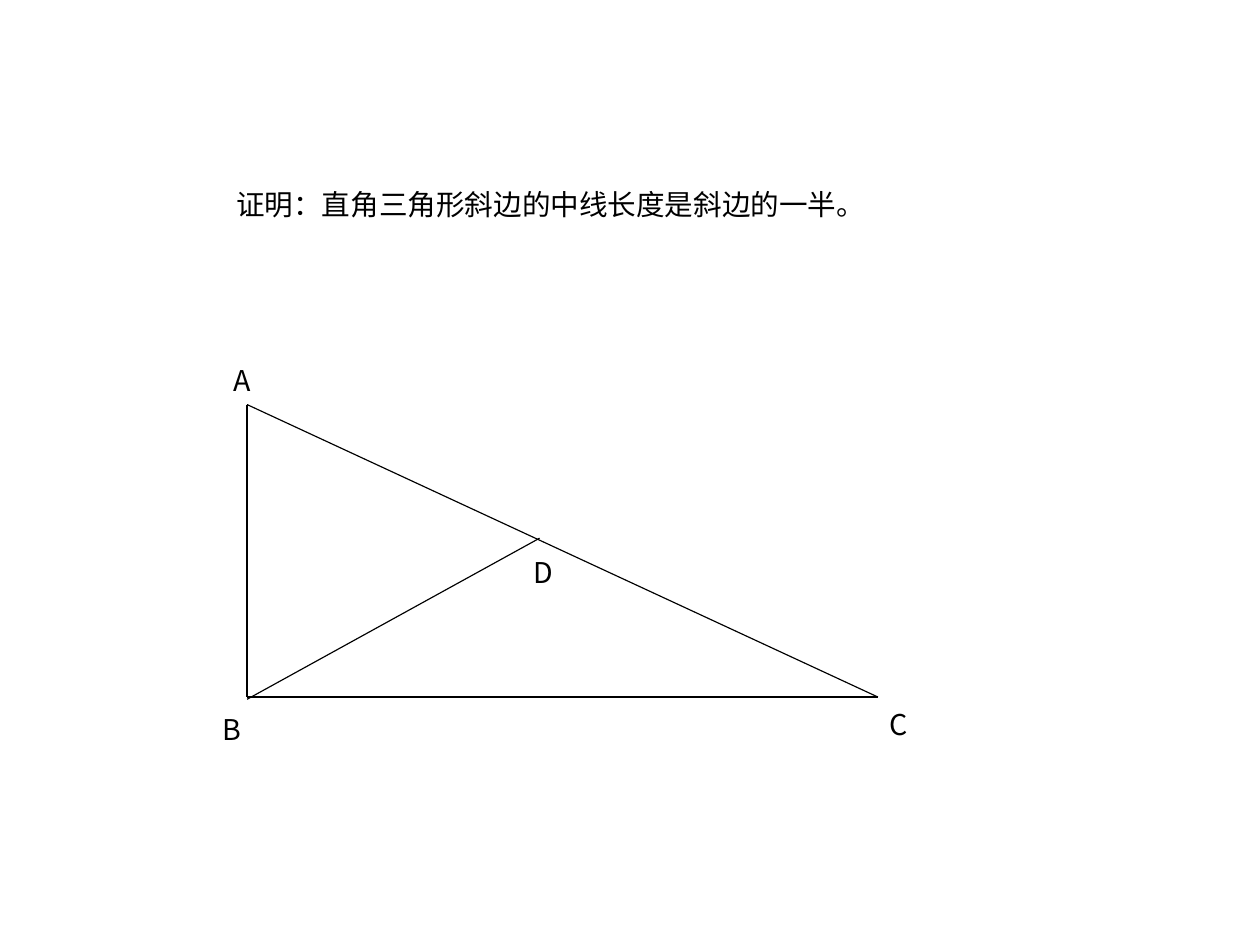
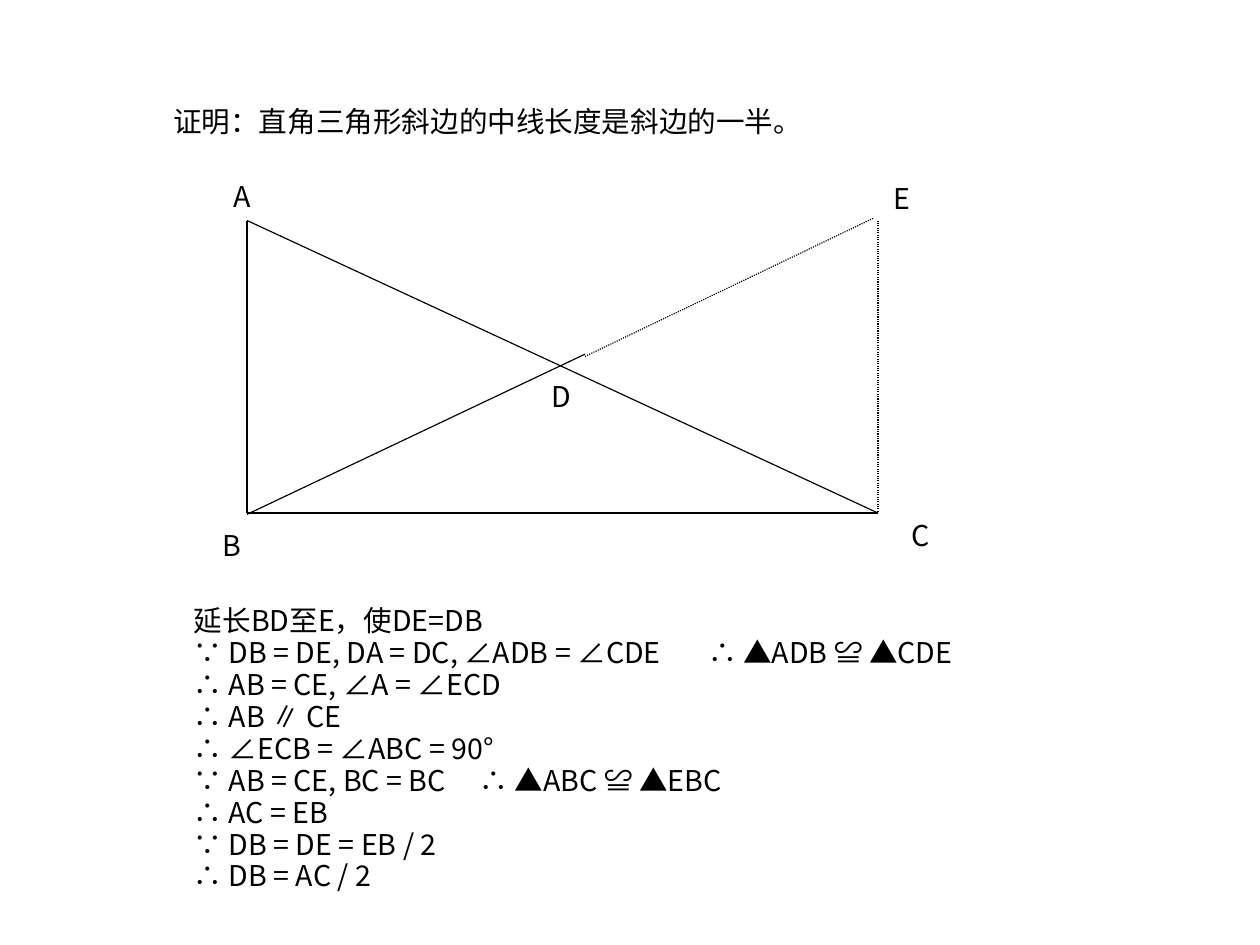
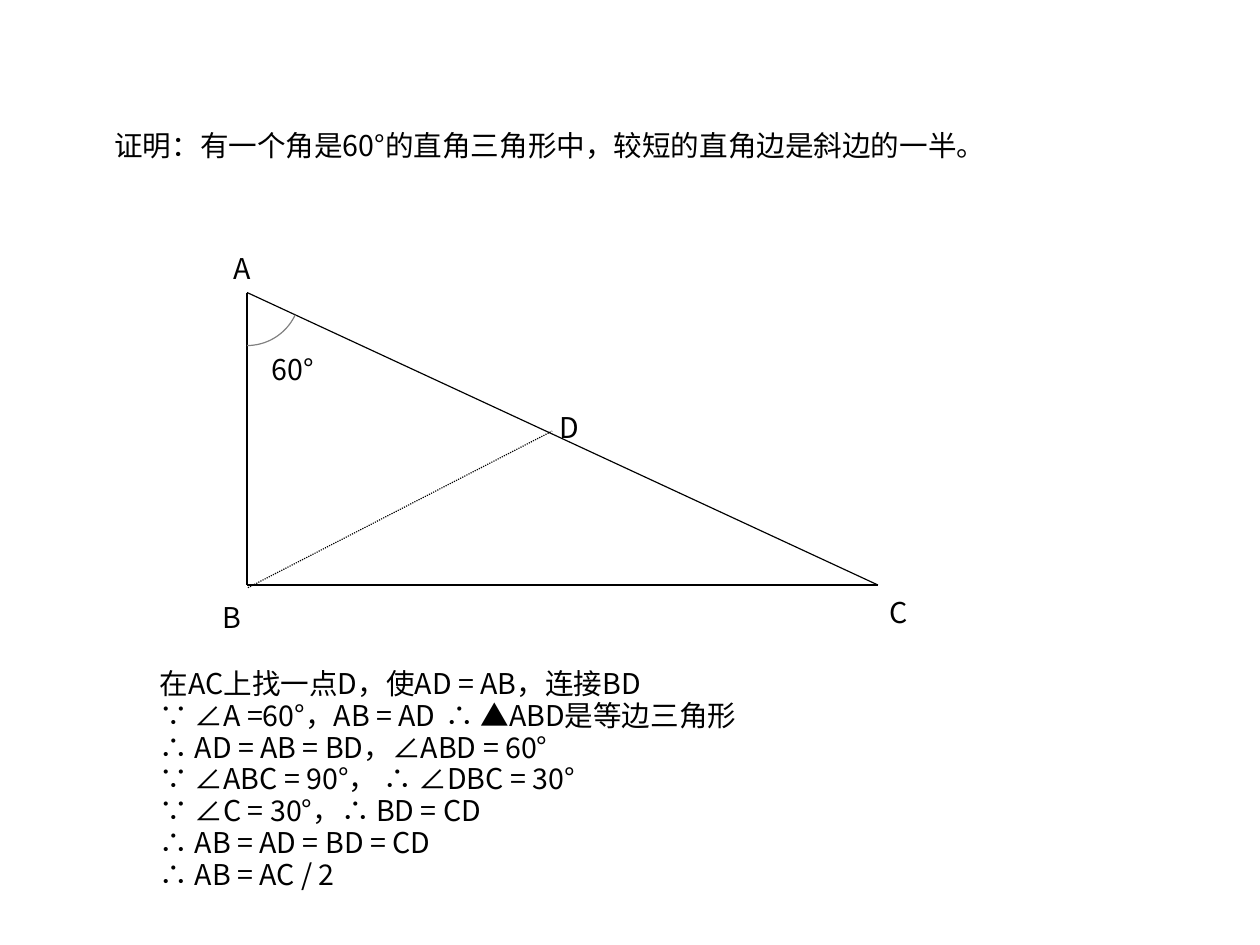
from dataclasses import dataclass
from math import atan2, cos, pi, sin

from lxml.etree import SubElement
from pptx import Presentation
from pptx.dml.color import RGBColor
from pptx.enum.dml import MSO_LINE
from pptx.enum.lang import MSO_LANGUAGE_ID
from pptx.enum.shapes import MSO_CONNECTOR
from pptx.enum.text import MSO_ANCHOR, MSO_AUTO_SIZE, PP_ALIGN
from pptx.oxml.ns import qn
from pptx.slide import Slide
from pptx.text.text import TextFrame
from pptx.util import Cm, Pt

Point = tuple[float, float]


@dataclass(frozen=True)
class Theme:
    """Colours, type and line style shared by every slide."""

    ink: RGBColor = RGBColor(0, 0, 0)
    arc: RGBColor = RGBColor(0x80, 0x80, 0x80)
    font: str = "Noto Sans CJK SC"
    size: float = 18
    line_spacing: float = 0.93
    line_width: float = 0.75


@dataclass(frozen=True)
class Segment:
    """A straight line of a figure."""

    start: Point
    end: Point
    dotted: bool = False


@dataclass(frozen=True)
class Label:
    """A short text naming a point or an angle."""

    text: str
    position: Point
    width: float = 1.0


@dataclass(frozen=True)
class Proof:
    """The content of one slide."""

    title: str
    title_position: Point
    apex_top: float
    segments: tuple[Segment, ...]
    labels: tuple[Label, ...]
    title_language: MSO_LANGUAGE_ID | None = None
    steps: tuple[str, ...] = ()
    steps_box: tuple[float, float, float, float] = (0, 0, 0, 0)
    tab_stops: tuple[float, ...] = ()
    arc_radius: float = 0


THEME = Theme()
LEG_LEFT, LEG_RIGHT, LEG_HEIGHT = 5.49, 19.51, 6.5
MEDIAN_THEOREM = "证明：直角三角形斜边的中线长度是斜边的一半。"

PROOFS = (
    Proof(
        title=MEDIAN_THEOREM,
        title_position=(5, 4.09),
        apex_top=8.99,
        segments=(Segment((5.49, 15.54), (11.99, 11.96)),),
        labels=(Label("C", (19.51, 15.6)), Label("D", (11.61, 12.22))),
    ),
    Proof(
        title=MEDIAN_THEOREM,
        title_position=(3.6, 2.24),
        apex_top=4.9,
        segments=(
            Segment((5.49, 11.43), (13, 7.87)),
            Segment((13, 7.92), (19.41, 4.85), dotted=True),
            Segment((19.51, 4.9), (19.51, 11.4), dotted=True),
        ),
        labels=(
            Label("C", (20, 11.4)),
            Label("D", (12, 8.3)),
            Label("E", (19.61, 3.91)),
        ),
        steps=(
            "延长BD至E，使DE=DB",
            "∵ DB = DE, DA = DC, ∠ADB = ∠CDE\t∴ ▲ADB ≌ ▲CDE",
            "∴ AB = CE, ∠A = ∠ECD",
            "∴ AB ∥ CE",
            "∴ ∠ECB = ∠ABC = 90°",
            "∵ AB = CE, BC = BC\t∴ ▲ABC ≌ ▲EBC",
            "∴ AC = EB",
            "∵ DB = DE = EB / 2",
            "∴ DB = AC / 2",
        ),
        steps_box=(4.06, 13.34, 20.57, 6.63),
        tab_stops=(7, 11.2),
    ),
    Proof(
        title="证明：有一个角是60°的直角三角形中，较短的直角边是斜边的一半。",
        title_position=(2.29, 2.79),
        title_language=MSO_LANGUAGE_ID.SIMPLIFIED_CHINESE,
        apex_top=6.5,
        segments=(Segment((5.51, 13.06), (12.27, 9.58), dotted=True),),
        labels=(
            Label("C", (19.51, 13.11)),
            Label("D", (12.19, 9)),
            Label("60°", (5.79, 7.72), width=1.7),
        ),
        steps=(
            "在AC上找一点D，使AD = AB，连接BD",
            "∵ ∠A =60°，AB = AD\t∴ ▲ABD是等边三角形",
            "∴ AD = AB = BD，∠ABD = 60°",
            "∵ ∠ABC = 90°， ∴ ∠DBC = 30°",
            "∵ ∠C = 30°，∴ BD = CD",
            "∴ AB = AD = BD = CD",
            "∴ AB = AC / 2",
        ),
        steps_box=(3.3, 14.73, 15, 5.92),
        tab_stops=(6.7,),
        arc_radius=1.18,
    ),
)


def write_text(
    frame: TextFrame,
    *lines: str,
    margin_top: float = 0.13,
    tab_stops: tuple[float, ...] = (),
    language: MSO_LANGUAGE_ID | None = None,
) -> None:
    """Fill a text frame with plain, left-aligned paragraphs."""
    frame.word_wrap = True
    frame.auto_size = MSO_AUTO_SIZE.NONE
    frame.vertical_anchor = MSO_ANCHOR.TOP
    frame.margin_left = frame.margin_right = Cm(0.25)
    frame.margin_top, frame.margin_bottom = Cm(margin_top), Cm(0.13)
    for index, line in enumerate(lines):
        paragraph = frame.add_paragraph() if index else frame.paragraphs[0]
        paragraph.alignment = PP_ALIGN.LEFT
        paragraph.line_spacing = THEME.line_spacing
        paragraph.space_before = paragraph.space_after = Pt(0)
        properties = paragraph._p.get_or_add_pPr()
        properties.set("marL", "0")
        properties.set("indent", "0")
        SubElement(properties, qn("a:buNone"))
        if tab_stops:
            tab_list = SubElement(properties, qn("a:tabLst"))
            for stop in tab_stops:
                SubElement(tab_list, qn("a:tab"), pos=str(Cm(stop)), algn="l")
        run = paragraph.add_run()
        run.text = line
        run.font.size = Pt(THEME.size)
        run.font.color.rgb = THEME.ink
        run.font.name = THEME.font
        if language is not None:
            run.font.language_id = language
        SubElement(run._r.get_or_add_rPr(), qn("a:ea"), typeface=THEME.font)


def place(shape, left: float, top: float, width: float, height: float) -> None:
    """Move and size a shape in centimetres."""
    shape.left, shape.top = Cm(left), Cm(top)
    shape.width, shape.height = Cm(width), Cm(height)


def draw_segment(slide: Slide, segment: Segment) -> None:
    """Draw one straight line."""
    ends = [Cm(value) for value in (*segment.start, *segment.end)]
    connector = slide.shapes.add_connector(MSO_CONNECTOR.STRAIGHT, *ends)
    connector.line.color.rgb = THEME.ink
    connector.line.width = Pt(THEME.line_width)
    if segment.dotted:
        connector.line.dash_style = MSO_LINE.ROUND_DOT
    SubElement(connector._element.spPr, qn("a:effectLst"))


def draw_label(slide: Slide, label: Label) -> None:
    """Write one label of a figure."""
    left, top = label.position
    box = slide.shapes.add_textbox(Cm(left), Cm(top), Cm(label.width), Cm(0.97))
    write_text(box.text_frame, label.text, margin_top=0.18)


def draw_angle_arc(slide: Slide, apex: Point, radius: float, steps: int = 20) -> None:
    """Mark the angle between the vertical leg and the hypotenuse."""
    slope = atan2(LEG_HEIGHT, LEG_RIGHT - LEG_LEFT)
    angles = [pi / 2 + (slope - pi / 2) * step / steps for step in range(steps + 1)]
    points = [
        (Cm(apex[0] + radius * cos(angle)), Cm(apex[1] + radius * sin(angle)))
        for angle in angles
    ]
    builder = slide.shapes.build_freeform(*points[0])
    builder.add_line_segments(points[1:], close=False)
    arc = builder.convert_to_shape()
    arc.shadow.inherit = False
    arc.fill.background()
    arc.line.color.rgb = THEME.arc
    arc.line.width = Pt(THEME.line_width)


def draw_triangle(slide: Slide, top: float) -> None:
    """Draw the right triangle ABC and name A and B."""
    bottom = top + LEG_HEIGHT
    apex, corner, tip = (LEG_LEFT, top), (LEG_LEFT, bottom), (LEG_RIGHT, bottom)
    for start, end in ((tip, corner), (apex, corner), (apex, tip)):
        draw_segment(slide, Segment(start, end))
    draw_label(slide, Label("A", (4.93, top - 1.03)))
    draw_label(slide, Label("B", (4.7, bottom + 0.21)))


def build_slide(presentation: Presentation, proof: Proof) -> None:
    """Add the slide of one proof."""
    layout = presentation.slide_layouts[1 if proof.steps else 5]
    slide = presentation.slides.add_slide(layout)
    title = slide.shapes.title
    place(title, *proof.title_position, 21, 1.1)
    write_text(title.text_frame, proof.title, language=proof.title_language)
    draw_triangle(slide, proof.apex_top)
    for segment in proof.segments:
        draw_segment(slide, segment)
    for label in proof.labels:
        draw_label(slide, label)
    if proof.arc_radius:
        draw_angle_arc(slide, (LEG_LEFT, proof.apex_top), proof.arc_radius)
    if proof.steps:
        body = slide.placeholders[1]
        place(body, *proof.steps_box)
        write_text(body.text_frame, *proof.steps, tab_stops=proof.tab_stops)


def main() -> None:
    """Build and save the presentation."""
    presentation = Presentation()
    presentation.slide_width, presentation.slide_height = Cm(28), Cm(21)
    for proof in PROOFS:
        build_slide(presentation, proof)
    presentation.save("out.pptx")


if __name__ == "__main__":
    main()
